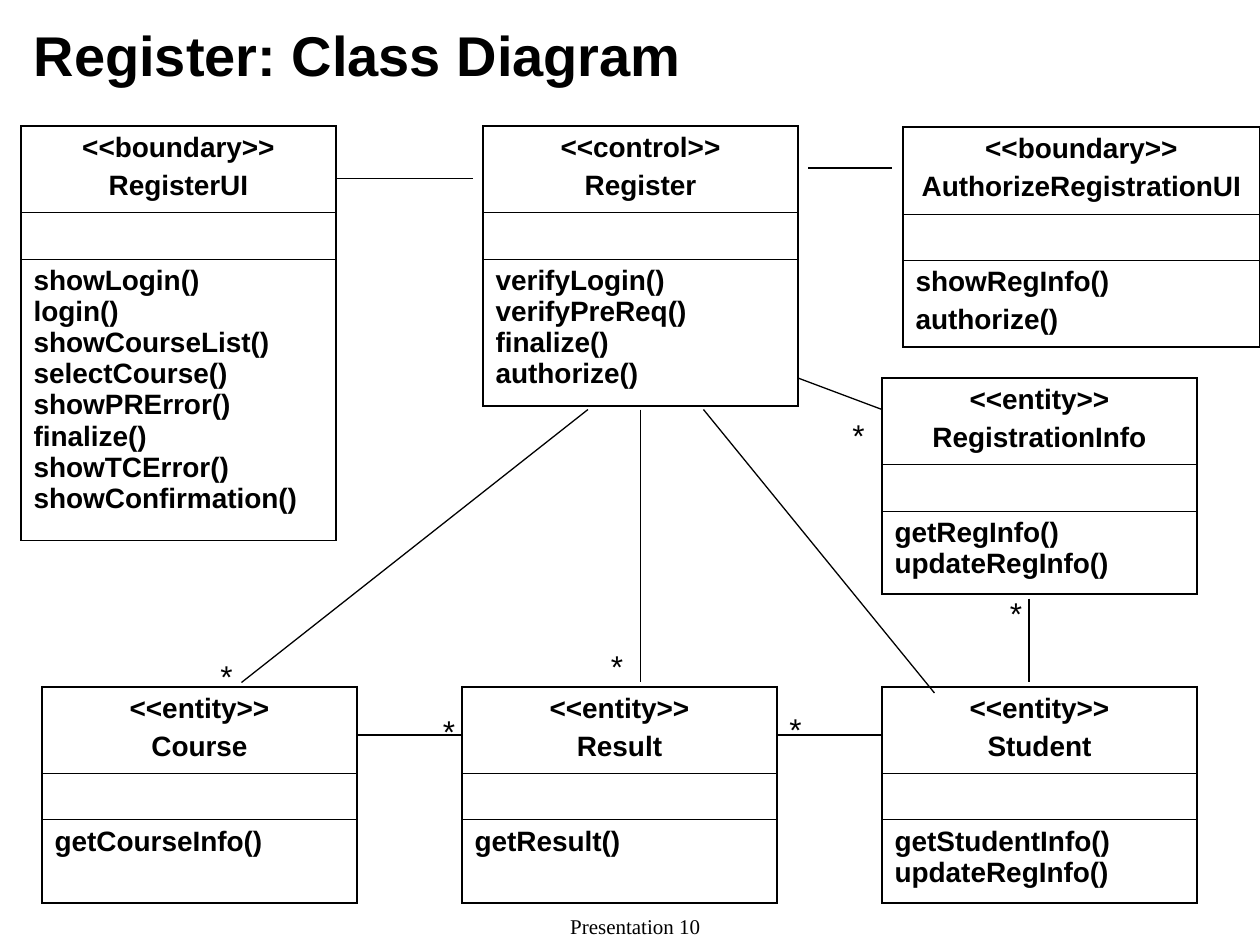
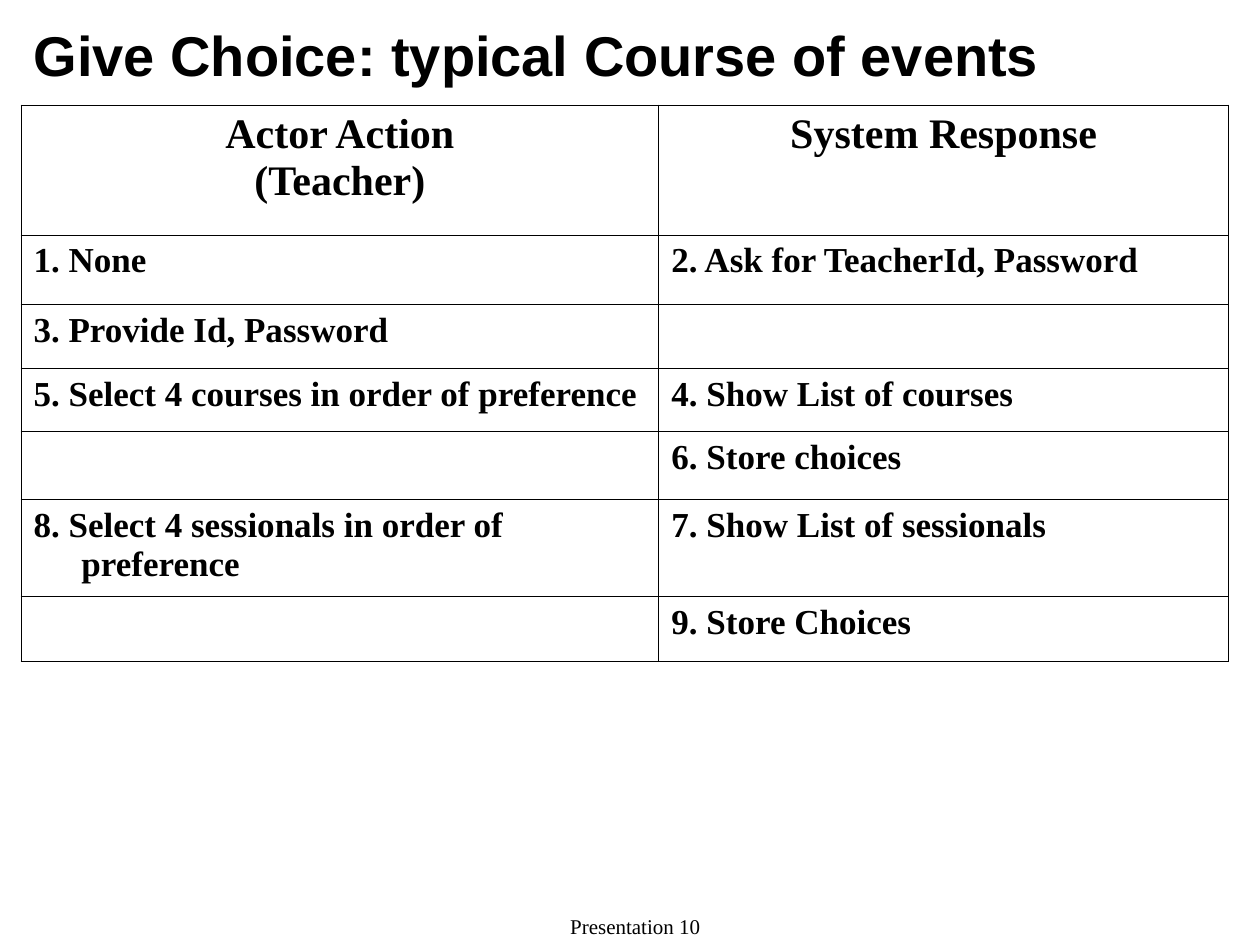
from dataclasses import dataclass
from typing import NamedTuple

from lxml.etree import SubElement
from pptx import Presentation
from pptx.dml.color import RGBColor
from pptx.enum.shapes import MSO_CONNECTOR
from pptx.enum.text import MSO_ANCHOR, MSO_AUTO_SIZE, PP_ALIGN
from pptx.oxml.ns import qn
from pptx.slide import Slide
from pptx.table import Table
from pptx.text.text import TextFrame
from pptx.util import Emu, Inches, Pt

# Grid: 120 columns by 90 rows, twelve to the inch
SLIDE_WIDTH, SLIDE_HEIGHT = Inches(10), Inches(7.5)
COLUMNS, ROWS = 120, 90

INK = RGBColor(0x00, 0x00, 0x00)
PAPER = RGBColor(0xFF, 0xFF, 0xFF)
SANS, SERIF = "Arial", "Times New Roman"
OUTER_LINE, INNER_LINE, LINK_LINE = 1.08, 0.45, 0.75
FOOTER = "Presentation 10"


@dataclass(frozen=True)
class TextStyle:
    font: str
    size: float
    bold: bool = False
    align: PP_ALIGN = PP_ALIGN.LEFT
    space_before: float = 0
    hanging: float = 0  # inches


TITLE = TextStyle(SANS, 32, bold=True)
FOOTNOTE = TextStyle(SERIF, 12, align=PP_ALIGN.CENTER)
CLASS_NAME = TextStyle(SANS, 16, True, PP_ALIGN.CENTER, space_before=4)
OPERATION = TextStyle(SANS, 16, True)
SPACED_OPERATION = TextStyle(SANS, 16, True, space_before=4)
MULTIPLICITY = TextStyle(SANS, 18)
EVENT_HEAD = TextStyle(SERIF, 24, True, PP_ALIGN.CENTER, hanging=0.38)
EVENT = TextStyle(SERIF, 20, True, hanging=0.38)


class UmlClass(NamedTuple):
    left: float
    top: float
    stereotype: str
    name: str
    operations: list[str]
    operations_height: float = 7.9
    width: float = 30
    operation_style: TextStyle = OPERATION


class Link(NamedTuple):
    x1: float
    y1: float
    x2: float
    y2: float


class Star(NamedTuple):
    left: float
    top: float


NAME_HEIGHT, ATTRIBUTES_HEIGHT = 8.25, 4.4
ENTITY_TOP = 65.4

CLASSES = [
    UmlClass(2, 12, "boundary", "RegisterUI",
             ["showLogin()", "login()", "showCourseList()", "selectCourse()",
              "showPRError()", "finalize()", "showTCError()",
              "showConfirmation()"], 26.75),
    UmlClass(86, 12.1, "boundary", "AuthorizeRegistrationUI",
             ["showRegInfo()", "authorize()"], NAME_HEIGHT, 34,
             SPACED_OPERATION),
    UmlClass(46, 12, "control", "Register",
             ["verifyLogin()", "verifyPreReq()", "finalize()", "authorize()"],
             14),
    UmlClass(84, 36, "entity", "RegistrationInfo",
             ["getRegInfo()", "updateRegInfo()"]),
    UmlClass(84, ENTITY_TOP, "entity", "Student",
             ["getStudentInfo()", "updateRegInfo()"]),
    UmlClass(44, ENTITY_TOP, "entity", "Result", ["getResult()"]),
    UmlClass(4, ENTITY_TOP, "entity", "Course", ["getCourseInfo()"]),
]

LINKS = [
    Link(32, 17, 45, 17),  # RegisterUI - Register
    Link(77, 16, 85, 16),  # Register - AuthorizeRegistrationUI
    Link(56, 39, 23, 65),  # Register - Course
    Link(61, 39, 61, 65),  # Register - Result
    Link(67, 39, 89, 66),  # Register - Student
    Link(76, 36, 84, 39),  # Register - RegistrationInfo
    Link(98, 57, 98, 65),  # RegistrationInfo - Student
    Link(34, 70, 44, 70),  # Course - Result
    Link(74, 70, 84, 70),  # Result - Student
]

STARS = [Star(19.8, 62), Star(57, 61), Star(80, 39),
         Star(95, 56), Star(74, 67), Star(41, 67.2)]

EVENT_COLUMNS = [60.75, 54.25]
EVENT_ROWS = [
    (12.4, "Actor Action\n(Teacher)", "System Response"),
    (6.6, "1. None", "2. Ask for TeacherId, Password"),
    (6.1, "3. Provide Id, Password", ""),
    (6, "5. Select 4 courses in order of preference",
     "4. Show List of courses"),
    (6.5, "", "6. Store choices"),
    (9.2, "8. Select 4 sessionals in order of preference",
     "7. Show List of sessionals"),
    (6.2, "", "9. Store Choices"),
]


def col(count: float) -> Emu:
    return Emu(round(SLIDE_WIDTH * count / COLUMNS))


def row(count: float) -> Emu:
    return Emu(round(SLIDE_HEIGHT * count / ROWS))


def write(frame: TextFrame, lines: list[str], style: TextStyle) -> None:
    """Put one paragraph per line into the frame, all in one style."""
    for index, line in enumerate(lines):
        paragraph = frame.paragraphs[0] if index == 0 else frame.add_paragraph()
        if line:
            paragraph.add_run().text = line
        paragraph.alignment = style.align
        paragraph.space_before = Pt(style.space_before)
        paragraph.font.name = style.font
        paragraph.font.size = Pt(style.size)
        paragraph.font.bold = style.bold
        paragraph.font.color.rgb = INK
        if style.hanging:
            properties = paragraph._p.get_or_add_pPr()
            properties.set("marL", str(Inches(style.hanging)))
            properties.set("indent", str(-Inches(style.hanging)))


def set_borders(table: Table, outer: float, inner: float) -> None:
    """Clear the fills and rule every cell, with its own width at the edge."""
    last_row, last_column = len(table.rows) - 1, len(table.columns) - 1
    for r in range(last_row + 1):
        for c in range(last_column + 1):
            cell = table.cell(r, c)
            cell.fill.background()
            properties = cell._tc.get_or_add_tcPr()
            at_edge = {"lnL": c == 0, "lnR": c == last_column,
                       "lnT": r == 0, "lnB": r == last_row}
            for position, (side, is_edge) in enumerate(at_edge.items()):
                line = SubElement(properties, qn(f"a:{side}"))
                line.set("w", str(Pt(outer if is_edge else inner)))
                ink = SubElement(SubElement(line, qn("a:solidFill")),
                                 qn("a:srgbClr"))
                ink.set("val", str(INK))
                properties.insert(position, line)


def add_grid(slide: Slide, left: float, top: float, widths: list[float],
             heights: list[float], outer: float, inner: float) -> Table:
    table = slide.shapes.add_table(
        len(heights), len(widths), col(left), row(top),
        col(sum(widths)), row(sum(heights))).table
    table.first_row = table.horz_banding = False
    for column, width in zip(table.columns, widths):
        column.width = col(width)
    for table_row, height in zip(table.rows, heights):
        table_row.height = row(height)
    set_borders(table, outer, inner)
    return table


def add_class(slide: Slide, uml: UmlClass) -> None:
    table = add_grid(slide, uml.left, uml.top, [uml.width],
                     [NAME_HEIGHT, ATTRIBUTES_HEIGHT, uml.operations_height],
                     OUTER_LINE, INNER_LINE)
    compartments = [
        ([f"<<{uml.stereotype}>>", uml.name], CLASS_NAME),
        ([""], OPERATION),
        (uml.operations, uml.operation_style),
    ]
    for index, (lines, style) in enumerate(compartments):
        write(table.cell(index, 0).text_frame, lines, style)


def add_link(slide: Slide, link: Link) -> None:
    connector = slide.shapes.add_connector(
        MSO_CONNECTOR.STRAIGHT, col(link.x1), row(link.y1),
        col(link.x2), row(link.y2))
    connector.line.color.rgb = INK
    connector.line.width = Pt(LINK_LINE)
    SubElement(connector._element.spPr, qn("a:effectLst"))


def add_star(slide: Slide, star: Star) -> None:
    frame = slide.shapes.add_textbox(
        col(star.left), row(star.top), col(3.5), row(4.8)).text_frame
    frame.word_wrap = False
    frame.auto_size = MSO_AUTO_SIZE.SHAPE_TO_FIT_TEXT
    write(frame, ["*"], MULTIPLICITY)


def add_slide(deck: Presentation, heading: str) -> Slide:
    """Title-only slide with the shared title style and footer."""
    slide = deck.slides.add_slide(deck.slide_layouts[5])
    slide.background.fill.solid()
    slide.background.fill.fore_color.rgb = PAPER

    title = slide.shapes.title
    title.left, title.top = col(2), row(2)
    title.width, title.height = col(108), row(6.4)
    title.text_frame.auto_size = MSO_AUTO_SIZE.NONE
    title.text_frame.vertical_anchor = MSO_ANCHOR.MIDDLE
    write(title.text_frame, [heading], TITLE)

    footer = slide.shapes.add_textbox(
        col(41), row(87), col(39), row(3)).text_frame
    footer.word_wrap = True
    footer.vertical_anchor = MSO_ANCHOR.BOTTOM
    write(footer, [FOOTER], FOOTNOTE)
    return slide


def build_class_diagram(deck: Presentation) -> None:
    slide = add_slide(deck, "Register: Class Diagram")
    for uml in CLASSES:
        add_class(slide, uml)
    for link in LINKS:
        add_link(slide, link)
    for star in STARS:
        add_star(slide, star)


def build_course_of_events(deck: Presentation) -> None:
    slide = add_slide(deck, "Give Choice: typical Course of events")
    table = add_grid(slide, 2, 10, EVENT_COLUMNS,
                     [height for height, *_ in EVENT_ROWS],
                     INNER_LINE, INNER_LINE)
    for r, (_, *steps) in enumerate(EVENT_ROWS):
        for c, step in enumerate(steps):
            write(table.cell(r, c).text_frame, step.split("\n"),
                  EVENT if r else EVENT_HEAD)


def main() -> None:
    deck = Presentation()
    deck.slide_width, deck.slide_height = SLIDE_WIDTH, SLIDE_HEIGHT
    build_class_diagram(deck)
    build_course_of_events(deck)
    deck.save("out.pptx")


if __name__ == "__main__":
    main()
